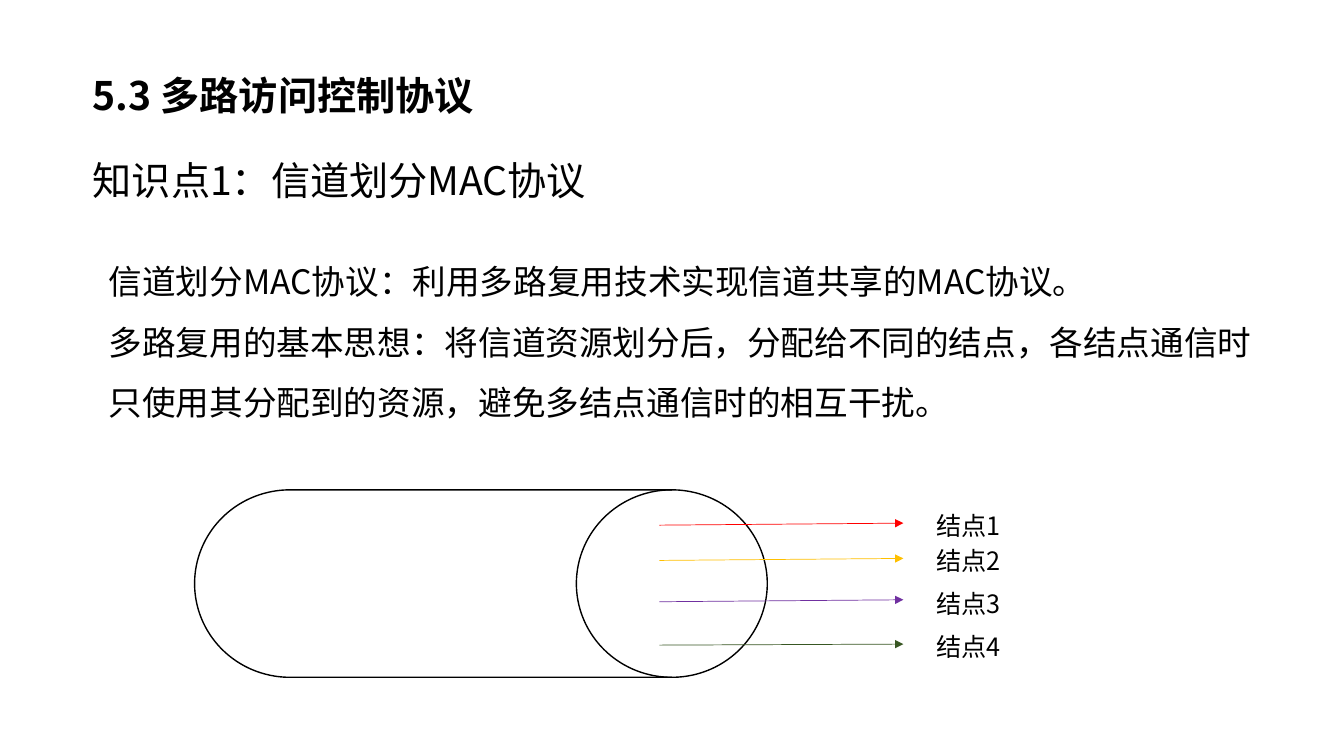
from pptx import Presentation
from pptx.dml.color import RGBColor
from pptx.enum.shapes import MSO_CONNECTOR as Link, MSO_SHAPE as Form
from pptx.enum.text import MSO_ANCHOR as Anchor, MSO_AUTO_SIZE as Fit
from pptx.oxml.ns import qn
from pptx.util import Pt
from lxml.etree import SubElement as add_sub

SCALE = 9144
FONT = "Noto Sans CJK SC"
BLACK = "000000"
NODES = [
    ("结点1", 486, 521, 519, "FF0000"),
    ("结点2", 521, 556, 554, "FFC000"),
    ("结点3", 564, 597, 595, "7030A0"),
    ("结点4", 606, 640, 639, "385723"),
]


def px(*vals):
    return [val * SCALE for val in vals]


def color(code):
    return RGBColor.from_string(code)


def style(para, size, bold, space):
    para.line_spacing = space
    font = para.font
    font.size = Pt(size)
    font.bold = bold
    font.name = FONT
    font.color.rgb = color(BLACK)
    props = para._p.pPr.find(qn("a:defRPr"))
    add_sub(props, qn("a:ea")).set("typeface", FONT)


def add_text(slide, box, lines, size, bold=False, space=1.5,
             inset=(10, 5), anchor=Anchor.TOP, fit=Fit.SHAPE_TO_FIT_TEXT):
    frame = slide.shapes.add_textbox(*px(*box)).text_frame
    frame.word_wrap = True
    frame.auto_size = fit
    frame.vertical_anchor = anchor
    side, edge = px(*inset)
    frame.margin_left = frame.margin_right = side
    frame.margin_top = frame.margin_bottom = edge
    frame.text = "\n".join(lines)
    for para in frame.paragraphs:
        style(para, size, bold, space)


def add_drum(slide, box):
    drum = slide.shapes.add_shape(Form.FLOWCHART_DIRECT_ACCESS_STORAGE, *px(*box))
    drum.shadow.inherit = False
    drum.fill.solid()
    drum.fill.fore_color.rgb = color("FFFFFF")
    drum.line.color.rgb = color(BLACK)
    drum.line.width = Pt(1)


def add_arrow(slide, ends, code):
    arrow = slide.shapes.add_connector(Link.STRAIGHT, *px(*ends))
    arrow.line.color.rgb = color(code)
    arrow.line.width = Pt(0.5)
    props = arrow._element.spPr
    add_sub(props.find(qn("a:ln")), qn("a:tailEnd")).set("type", "triangle")
    add_sub(props, qn("a:effectLst"))


def main():
    deck = Presentation()
    deck.slide_width, deck.slide_height = px(1333, 750)
    slide = deck.slides.add_slide(deck.slide_layouts[6])
    add_text(slide, (80, 65, 965, 59), ["5.3 多路访问控制协议"], 28,
             bold=True, space=1.0, inset=(12, 6))
    add_text(slide, (80, 115, 1216, 104), ["知识点1：信道划分MAC协议"], 28,
             inset=(12, 6), anchor=Anchor.MIDDLE, fit=Fit.NONE)
    add_text(slide, (98, 234, 1177, 192), [
        "信道划分MAC协议：利用多路复用技术实现信道共享的MAC协议。",
        "多路复用的基本思想：将信道资源划分后，分配给不同的结点，"
        "各结点通信时只使用其分配到的资源，避免多结点通信时的相互干扰。",
    ], 24)
    add_drum(slide, (193, 486, 568, 186))
    for name, top, start, end, code in NODES:
        add_arrow(slide, (654, start, 896, end), code)
        add_text(slide, (919, top, 126, 50), [name], 18)
    deck.save("out.pptx")


if __name__ == "__main__":
    main()
